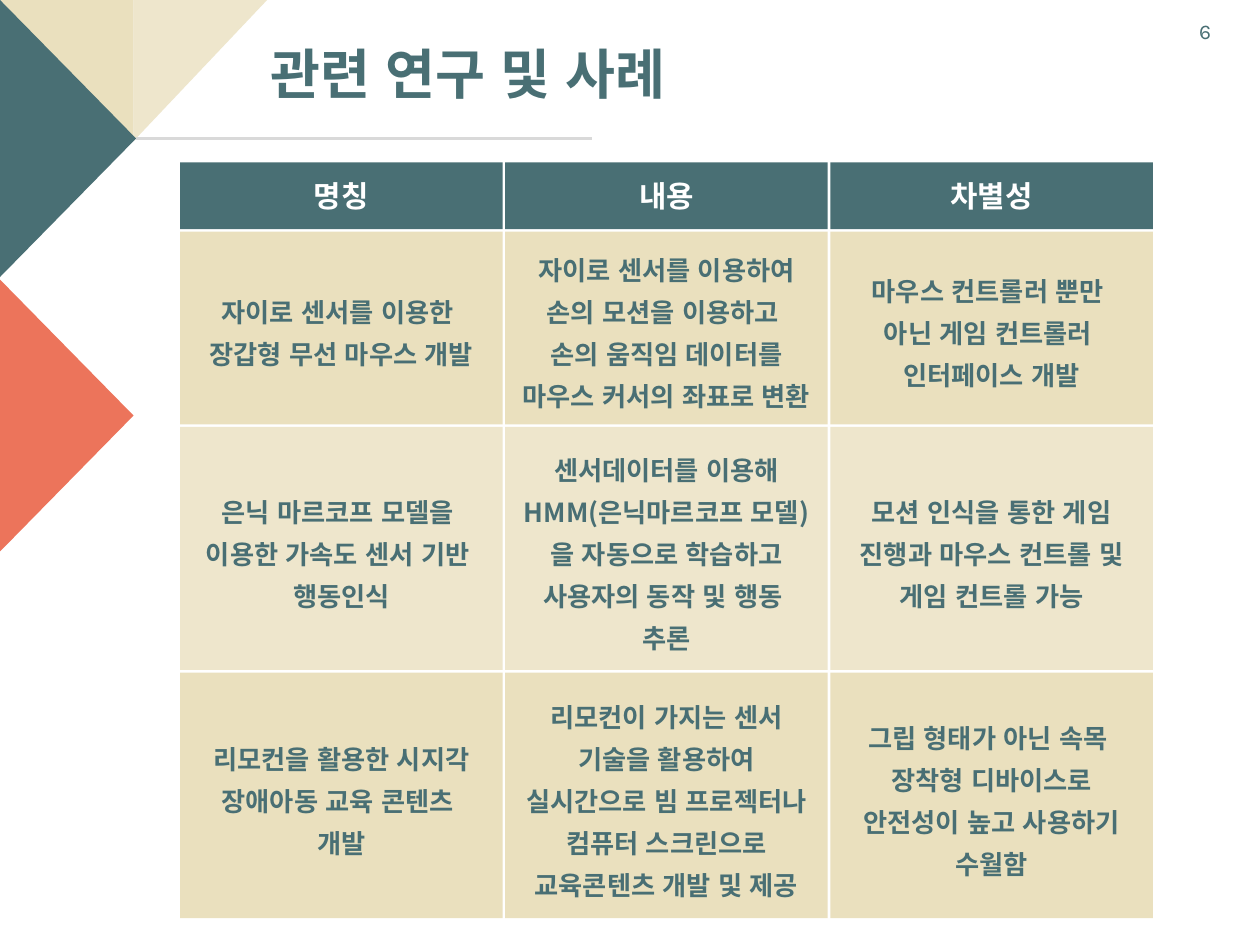
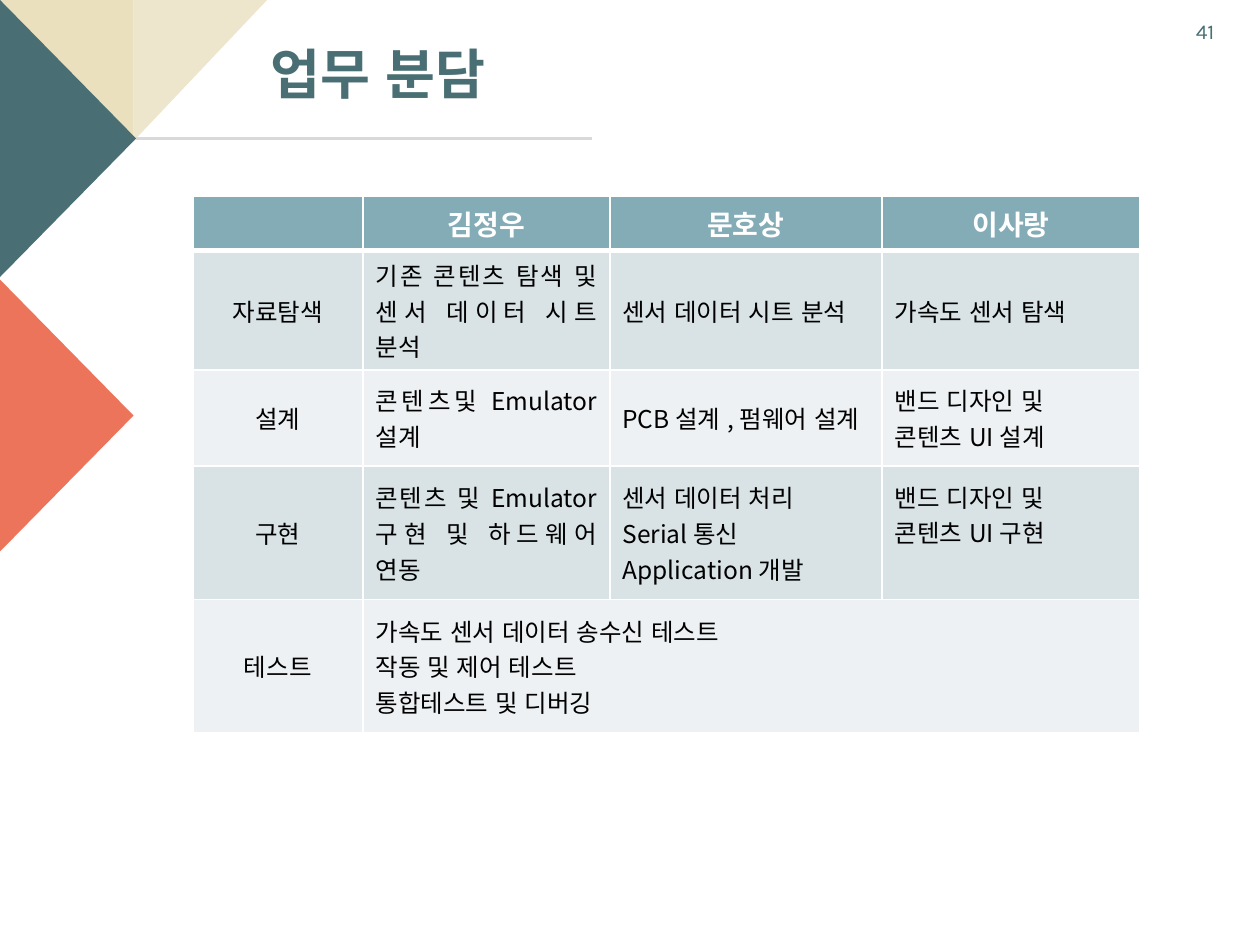
from lxml.etree import SubElement
from pptx import Presentation
from pptx.dml.color import RGBColor
from pptx.enum.lang import MSO_LANGUAGE_ID as Language
from pptx.enum.shapes import MSO_CONNECTOR as Connector, MSO_SHAPE as Shape
from pptx.enum.text import MSO_ANCHOR as Anchor, MSO_AUTO_SIZE as AutoSize, PP_ALIGN as Align
from pptx.oxml.ns import qn
from pptx.util import Inches, Pt

TEAL = RGBColor(0x49, 0x6F, 0x74)
CORAL = RGBColor(0xEC, 0x74, 0x5B)
SAND = RGBColor(0xEA, 0xE0, 0xBE)
LIGHT_SAND = RGBColor(0xEE, 0xE6, 0xCC)
RULE_GREY = RGBColor(0xD9, 0xD9, 0xD9)
HEADER_BLUE = RGBColor(0x84, 0xAC, 0xB6)
BAND_DARK = RGBColor(0xD9, 0xE3, 0xE5)
BAND_LIGHT = RGBColor(0xED, 0xF1, 0xF3)
WHITE = RGBColor(0xFF, 0xFF, 0xFF)
BLACK = RGBColor(0x00, 0x00, 0x00)

KOREAN_FONT = "Noto Sans CJK KR"
NUMBER_FONT = "Karla"

STUDIES = [
    ["명칭", "내용", "차별성"],
    ["자이로 센서를 이용한 \n장갑형 무선 마우스 개발",
     "자이로 센서를 이용하여 손의 모션을 이용하고 \n손의 움직임 데이터를 마우스 커서의 좌표로 변환",
     "마우스 컨트롤러 뿐만 \n아닌 게임 컨트롤러 \n인터페이스 개발"],
    ["은닉 마르코프 모델을 \n이용한 가속도 센서 기반 \n행동인식",
     "센서데이터를 이용해 HMM(은닉마르코프 모델)을 자동으로 학습하고 사용자의 동작 및 행동 \n추론",
     "모션 인식을 통한 게임\n진행과 마우스 컨트롤 및 게임 컨트롤 가능"],
    ["리모컨을 활용한 시지각 장애아동 교육 콘텐츠 \n개발",
     "리모컨이 가지는 센서 기술을 활용하여 실시간으로 빔 프로젝터나 컴퓨터 스크린으로 교육콘텐츠 개발 및 제공",
     "그립 형태가 아닌 속목 \n장착형 디바이스로\n안전성이 높고 사용하기 수월함"],
]
STUDY_HEIGHTS = [0.53, 1.53, 1.93, 1.95]
STUDY_FILLS = [TEAL, SAND, LIGHT_SAND, SAND]

DUTIES = [
    ["", "김정우", "문호상", "이사랑"],
    ["자료탐색", "기존 콘텐츠 탐색 및 센서 데이터 시트 분석", "센서 데이터 시트 분석", "가속도 센서 탐색"],
    ["설계", "콘텐츠및 Emulator 설계", "PCB 설계 , 펌웨어 설계", "밴드 디자인 및\n콘텐츠 UI 설계"],
    ["구현", "콘텐츠 및 Emulator 구현 및 하드웨어 연동",
     "센서 데이터 처리\nSerial 통신\nApplication 개발", "밴드 디자인 및\n콘텐츠 UI 구현"],
    ["테스트", "가속도 센서 데이터 송수신 테스트\n작동 및 제어 테스트\n통합테스트 및 디버깅"],
]
DUTY_WIDTHS = [1.35, 1.96, 2.16, 2.05]
DUTY_HEIGHTS = [0.43, 0.95, 0.76, 1.06, 1.06]


def format_text(frame, size, color, bold=False, align=Align.CENTER,
                line_spacing=None, font_name=KOREAN_FONT):
    for paragraph in frame.paragraphs:
        paragraph.alignment = align
        if line_spacing:
            paragraph.line_spacing = line_spacing
        font = paragraph.font
        font.size = Pt(size)
        font.bold = bold
        font.color.rgb = color
        font.name = font_name
        font.language_id = Language.KOREAN
        east_asian = SubElement(paragraph._p.pPr.find(qn("a:defRPr")), qn("a:ea"))
        east_asian.set("typeface", font_name)


def add_filled_shape(shapes, kind, left, top, width, height, fill):
    shape = shapes.add_shape(kind, Inches(left), Inches(top), Inches(width), Inches(height))
    shape.shadow.inherit = False
    shape.fill.solid()
    shape.fill.fore_color.rgb = fill
    shape.line.fill.background()
    return shape


def add_corner_triangles(slide):
    """Draw the corner triangles and move them to the layout, which both slides share."""
    sand = add_filled_shape(slide.shapes, Shape.RIGHT_TRIANGLE, 0, 0, 1.06, 1.12, SAND)
    light = add_filled_shape(slide.shapes, Shape.RIGHT_TRIANGLE, 1.06, 0, 1.06, 1.12, LIGHT_SAND)
    teal = add_filled_shape(slide.shapes, Shape.ISOSCELES_TRIANGLE, -0.56, 0.56, 2.2, 1.08, TEAL)
    coral = add_filled_shape(slide.shapes, Shape.ISOSCELES_TRIANGLE, -0.56, 2.76, 2.2, 1.08, CORAL)
    coral.left = Inches(-0.58)
    light.element.spPr.get_or_add_xfrm().set("flipH", "1")
    for triangle, angle in ((sand, 180), (light, 180), (teal, 90), (coral, 90)):
        triangle.rotation = angle
        slide.slide_layout.shapes.element.append(triangle.element)


def add_title(slide, text):
    title = slide.shapes.title
    title.left, title.top = Inches(2.05), Inches(0.33)
    title.width, title.height = Inches(5.52), Inches(0.59)
    frame = title.text_frame
    frame.text = text
    frame.auto_size = AutoSize.NONE
    frame.vertical_anchor = Anchor.TOP
    format_text(frame, 31, TEAL, bold=True, align=Align.LEFT, line_spacing=0.9)


def add_page_number(slide, number):
    box = slide.shapes.add_textbox(Inches(9.13), Inches(0.1), Inches(0.87), Inches(0.3))
    frame = box.text_frame
    frame.word_wrap = True
    frame.text = str(number)
    format_text(frame, 12, TEAL, font_name=NUMBER_FONT)


def add_title_rule(slide):
    rule = slide.shapes.add_connector(
        Connector.STRAIGHT, Inches(1.08), Inches(1.1), Inches(4.7), Inches(1.1))
    rule.line.color.rgb = RULE_GREY
    rule.line.width = Pt(1.5)
    SubElement(rule.element.spPr, qn("a:effectLst"))


def add_framed_slide(prs, title, number):
    slide = prs.slides.add_slide(prs.slide_layouts[5])
    add_title(slide, title)
    add_page_number(slide, number)
    add_title_rule(slide)
    return slide


def add_study_grid(slide):
    left, top, width, gap = 1.43, 1.29, 2.56, 0.02
    for row, (texts, height, fill) in enumerate(zip(STUDIES, STUDY_HEIGHTS, STUDY_FILLS)):
        for column, text in enumerate(texts):
            card = add_filled_shape(slide.shapes, Shape.RECTANGLE,
                                    left + column * (width + gap), top, width, height, fill)
            frame = card.text_frame
            frame.word_wrap = True
            frame.vertical_anchor = Anchor.MIDDLE
            frame.paragraphs[0].text = text
            if row == 0:
                format_text(frame, 17, WHITE, bold=True)
            else:
                format_text(frame, 15, TEAL, bold=True, line_spacing=Pt(24))
        top += height + gap


def set_cell_borders(cell, bottom_width):
    properties = cell._tc.get_or_add_tcPr()
    for side, width in (("L", 1), ("R", 1), ("T", 1), ("B", bottom_width)):
        border = SubElement(properties, qn(f"a:ln{side}"), w=str(Pt(width)))
        fill = SubElement(border, qn("a:solidFill"))
        SubElement(fill, qn("a:srgbClr"), val=str(WHITE))


def add_duty_table(slide):
    table = slide.shapes.add_table(
        len(DUTIES), len(DUTY_WIDTHS), Inches(1.53), Inches(1.56),
        Inches(sum(DUTY_WIDTHS)), Inches(sum(DUTY_HEIGHTS))).table
    for column, width in zip(table.columns, DUTY_WIDTHS):
        column.width = Inches(width)
    for row, height in zip(table.rows, DUTY_HEIGHTS):
        row.height = Inches(height)
    table.cell(4, 1).merge(table.cell(4, 3))

    for r, row in enumerate(table.rows):
        for c, cell in enumerate(row.cells):
            header = r == 0
            set_cell_borders(cell, bottom_width=3 if header else 1)
            cell.fill.solid()
            cell.fill.fore_color.rgb = HEADER_BLUE if header else (BAND_LIGHT, BAND_DARK)[r % 2]
            cell.vertical_anchor = Anchor.MIDDLE
            if c < len(DUTIES[r]):
                cell.text_frame.text = DUTIES[r][c]
            if header:
                format_text(cell.text_frame, 16, WHITE, bold=True)
            else:
                format_text(cell.text_frame, 14, BLACK,
                            align=Align.CENTER if c == 0 else Align.JUSTIFY)

    band_build = table.cell(3, 3)
    band_build.vertical_anchor = Anchor.TOP
    band_build.margin_top = Inches(0.1)


def main():
    prs = Presentation()
    prs.slide_width, prs.slide_height = Inches(10), Inches(7.48)

    studies = add_framed_slide(prs, "관련 연구 및 사례", 6)
    add_corner_triangles(studies)
    add_study_grid(studies)

    duties = add_framed_slide(prs, "업무 분담", 41)
    add_duty_table(duties)

    prs.save("out.pptx")


if __name__ == "__main__":
    main()
